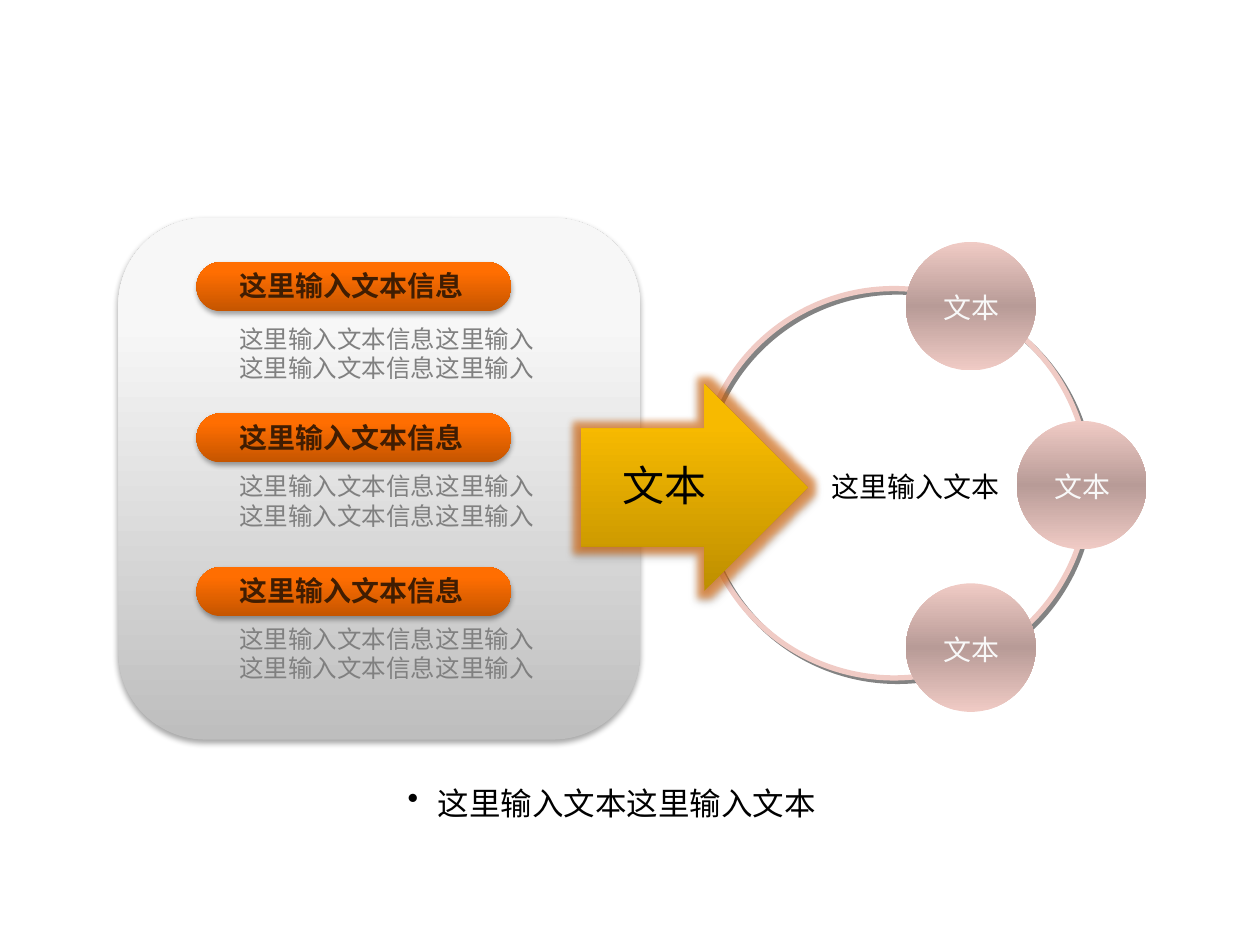
import copy

import pptx
import pptx.dml.color
import pptx.enum.dml
import pptx.enum.shapes
import pptx.enum.text
import pptx.oxml
import pptx.oxml.ns
import pptx.util
from pptx.util import Inches

COLORS = {
    "black": "000000", "grey": "808080", "brown": "401D02", "white": "F8F8F8",
    "pink": "F0CBC5", "mauve": "B89B97", "ring_shadow": "080808", "glow": "E36C0A",
    "panel_low": "BEBEBE", "panel_mid": "F7F7F7", "panel_high": "F8F8F8",
    "pill_low": "C55500", "pill_mid": "FF6E01", "pill_high": "FF6F02",
    "arrow_low": "BE8F00", "arrow_mid": "F7BA00", "arrow_high": "F8BB00",
}
SOFT_SHADOW = ("black", 35, 3.1, 1.8, 90)
RING_SHADOW = ("ring_shadow", 50, 0, 2.8, 45)
KINDS = pptx.enum.shapes.MSO_SHAPE
CENTER = pptx.enum.text.PP_ALIGN.CENTER
LEFT = pptx.enum.text.PP_ALIGN.LEFT
ROWS = [(2.08, 2.08, 2.52), (3.28, 3.29, 3.69), (4.5, 4.5, 4.9)]
CIRCLES = [(7.19, 1.92), (7.19, 4.63), (8.07, 3.34)]


def rgb(name):
    """Return the named colour."""
    return pptx.dml.color.RGBColor.from_string(COLORS[name])


def color_xml(name, alpha):
    """Return a colour element with an opacity in percent."""
    return f'<a:srgbClr val="{COLORS[name]}"><a:alpha val="{alpha * 1000}"/></a:srgbClr>'


def add_effects(shape, shadow, glow=None):
    """Give a shape an outer shadow and, if asked, a glow."""
    name, alpha, blur, distance, angle = shadow
    parts = ""
    if glow:
        glow_name, glow_alpha, radius = glow
        parts = f'<a:glow rad="{pptx.util.Pt(radius)}">{color_xml(glow_name, glow_alpha)}</a:glow>'
    parts += (
        f'<a:outerShdw blurRad="{pptx.util.Pt(blur)}" dist="{pptx.util.Pt(distance)}" '
        f'dir="{angle * 60000}" algn="ctr" rotWithShape="0">{color_xml(name, alpha)}</a:outerShdw>'
    )
    properties = shape._element.spPr
    properties.remove(properties.find(pptx.oxml.ns.qn("a:effectLst")))
    properties.append(pptx.oxml.parse_xml(
        f'<a:effectLst {pptx.oxml.ns.nsdecls("a")}>{parts}</a:effectLst>'))


def fill_gradient(shape, stops, angle):
    """Fill a shape with a linear gradient of three stops."""
    shape.fill.gradient()
    shape.fill.gradient_angle = angle
    stop_list = next(shape._element.spPr.iter(pptx.oxml.ns.qn("a:gsLst")))
    stop_list.append(copy.deepcopy(stop_list[0]))
    for stop, (position, name) in zip(shape.fill.gradient_stops, stops):
        stop.position = position
        stop.color.rgb = rgb(name)


def add_shape(shapes, kind, bounds, adjustments=()):
    """Add an unfilled shape without line or shadow."""
    shape = shapes.add_shape(kind, *map(Inches, bounds))
    shape.shadow.inherit = False
    shape.fill.background()
    shape.line.fill.background()
    for index, value in enumerate(adjustments):
        shape.adjustments[index] = value
    return shape


def add_glossy(shapes, kind, bounds, palette, adjustments=(), glow=None):
    """Add a shape shaded from dark below to light above."""
    shape = add_shape(shapes, kind, bounds, adjustments)
    stops = [(0, palette + "_low"), (0.8, palette + "_mid"), (1, palette + "_high")]
    fill_gradient(shape, stops, 90)
    add_effects(shape, SOFT_SHADOW, glow)


def add_bullet(para, indent):
    """Give a paragraph a round bullet with a hanging indent."""
    properties = para._p.get_or_add_pPr()
    properties.set("marL", str(Inches(indent)))
    properties.set("indent", str(-Inches(indent)))
    properties.append(pptx.oxml.parse_xml(
        f'<a:buChar {pptx.oxml.ns.nsdecls("a")} char="•"/>'))


def add_text(shapes, bounds, lines, size, color, name="Arial", bold=False,
             align=CENTER, wrap=True, bullet=None):
    """Add a text box with one paragraph for each line."""
    box = shapes.add_textbox(*map(Inches, bounds))
    frame = box.text_frame
    frame.word_wrap = wrap
    frame.auto_size = pptx.enum.text.MSO_AUTO_SIZE.SHAPE_TO_FIT_TEXT
    font_format = {"name": name, "size": pptx.util.Pt(size), "bold": bold}
    for index, line in enumerate(lines):
        para = frame.add_paragraph() if index else frame.paragraphs[0]
        para.alignment = align
        if bullet:
            add_bullet(para, bullet)
        span = para.add_run()
        span.text = line
        for key, value in font_format.items():
            setattr(span.font, key, value)
        span.font.color.rgb = rgb(color)


def add_ring(shapes):
    """Add the ring that links the circles."""
    ring = add_shape(shapes, KINDS.OVAL, (5.55, 2.29, 3.09, 3.09))
    ring.line.color.rgb = rgb("pink")
    ring.line.width = pptx.util.Pt(3)
    add_effects(ring, RING_SHADOW)


def add_circle(shapes, left, top):
    """Add a labelled circle as a group."""
    group = shapes.add_group_shape()
    circle = add_shape(group.shapes, KINDS.OVAL, (left, top, 1.03, 1.02))
    fill_gradient(circle, [(0, "pink"), (0.5, "mauve"), (1, "pink")], 270)
    add_text(group.shapes, (left - 0.03, top + 0.34, 1.1, 0.35), ["文本"], 16, "white")


def add_row(shapes, pill_top, heading_top, detail_top):
    """Add a pill with its heading and two lines of detail."""
    add_glossy(shapes, KINDS.ROUNDED_RECTANGLE, (1.56, pill_top, 2.5, 0.39), "pill", [0.5])
    add_text(shapes, (1.79, heading_top, 2, 0.37), ["这里输入文本信息"], 16, "brown",
             bold=True, wrap=False)
    add_text(shapes, (1.8, detail_top, 2.73, 0.57), ["这里输入文本信息这里输入"] * 2, 14,
             "grey", align=LEFT)


def main():
    """Build the slide and save the deck."""
    deck = pptx.Presentation()
    deck.slide_width, deck.slide_height = Inches(10), Inches(7.5)
    page = deck.slides.add_slide(deck.slide_layouts[6])
    shapes = page.shapes
    add_glossy(shapes, KINDS.ROUNDED_RECTANGLE, (0.94, 1.73, 4.14, 4.14), "panel")
    for tops in ROWS:
        add_row(shapes, *tops)
    add_ring(shapes)
    add_text(shapes, (6.41, 3.68, 1.71, 0.35), ["这里输入文本"], 16, "black")
    for left, top in CIRCLES:
        add_circle(shapes, left, top)
    add_text(shapes, (1.59, 6.17, 6.53, 0.38), ["这里输入文本这里输入文本"], 18, "black",
             bullet=0.24)
    add_glossy(shapes, KINDS.RIGHT_ARROW, (4.61, 3.05, 1.8, 1.64), "arrow", [0.57, 0.5],
               glow=("glow", 60, 8))
    add_text(shapes, (4.61, 3.6, 1.33, 0.5), ["文本"], 24, "black", name="Calibri")
    deck.save("out.pptx")


if __name__ == "__main__":
    main()
